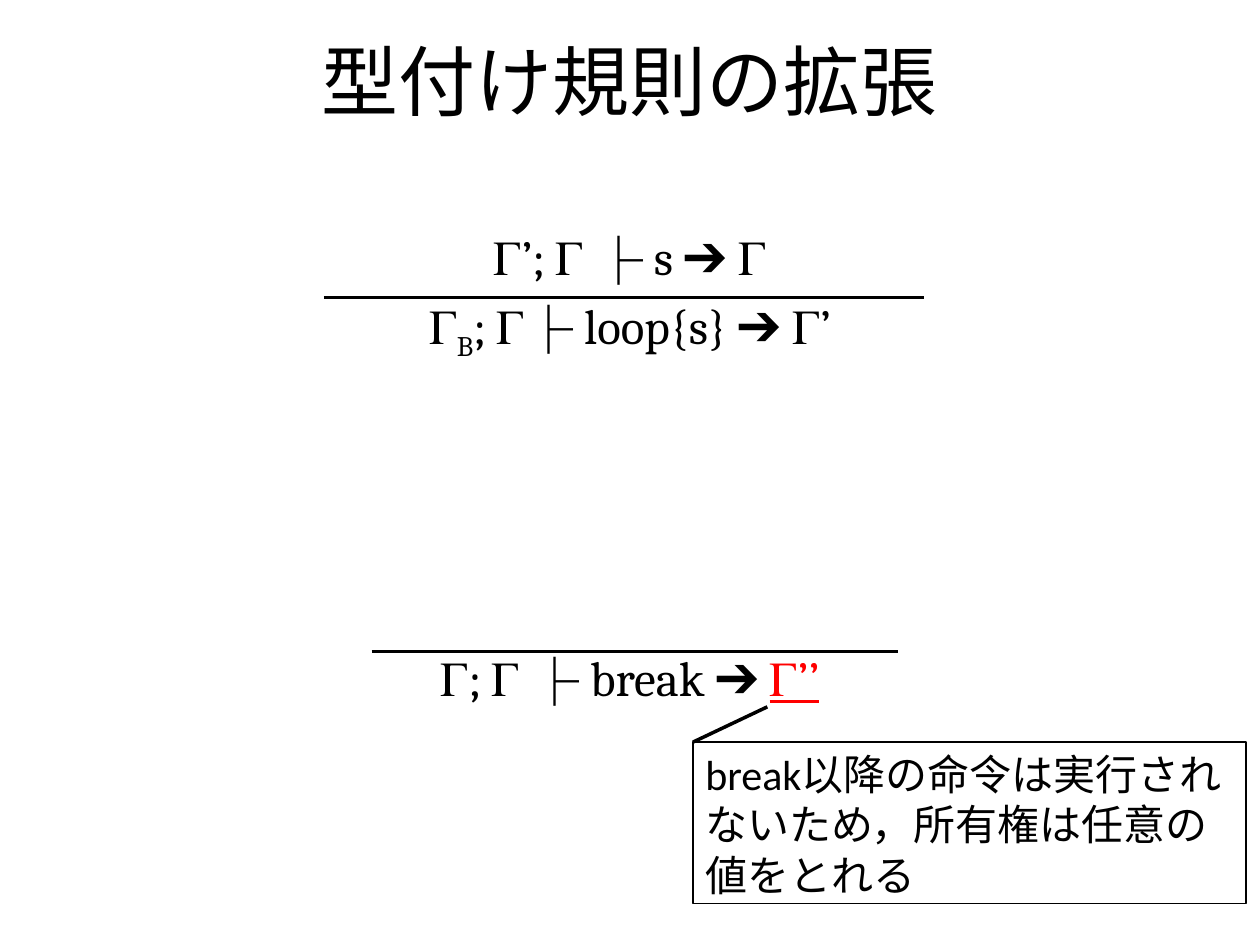
from lxml import etree
from pptx import Presentation
from pptx.dml.color import RGBColor
from pptx.enum import shapes, text
from pptx.oxml.ns import qn
from pptx.util import Inches, Pt

BLACK = "000000"
RED = "FF0000"


def color(value):
    return RGBColor.from_string(value)


def add_text(box, paragraphs, font_name, size, alignment, anchor=text.MSO_ANCHOR.TOP):
    left, top, width, height = box
    shape = slide.shapes.add_textbox(Inches(left), Inches(top), Inches(width), Inches(height))
    frame = shape.text_frame
    frame.word_wrap = True
    frame.vertical_anchor = anchor
    for index, runs in enumerate(paragraphs):
        paragraph = frame.add_paragraph() if index else frame.paragraphs[0]
        paragraph.alignment = alignment
        if index:
            paragraph.space_before = Pt(size * 0.2)
        for content, style in runs:
            run = paragraph.add_run()
            run.text = content
            run.font.name = font_name
            run.font.size = Pt(size)
            run.font.color.rgb = color(RED if style == "highlight" else BLACK)
            if style == "highlight":
                run.font.underline = True
            if style == "subscript":
                run.font._element.set("baseline", "-25000")


presentation = Presentation()
presentation.slide_width = Inches(10)
presentation.slide_height = Inches(7.5)
slide = presentation.slides.add_slide(presentation.slide_layouts[6])
slide.background.fill.solid()
slide.background.fill.fore_color.rgb = color("FFFFFF")

center = text.PP_ALIGN.CENTER
add_text((0.5, 0.01, 9, 1.25), [[("型付け規則の拡張", "plain")]],
         "Calibri", 44, center, text.MSO_ANCHOR.MIDDLE)

loop_rule = [
    [("Γ’; Γ ├ s ➔ Γ", "plain")],
    [("Γ", "plain"), ("B", "subscript"), ("; Γ├ loop{s} ➔ Γ’", "plain")],
]
break_rule = [[("Γ; Γ ├ break ➔ ", "plain"), ("Γ’’", "highlight")]]
for top, height, rule in [(1.75, 1.2, loop_rule), (5.09, 0.6, break_rule)]:
    add_text((0.5, top, 9, height), rule, "Cambria", 28, center)

note_frame = slide.shapes.add_shape(shapes.MSO_SHAPE.RECTANGLE, Inches(5.5), Inches(5.89),
                                    Inches(4.39), Inches(1.28))
note_frame.shadow.inherit = False
note_frame.fill.background()
note_frame.line.color.rgb = color(BLACK)
note_frame.line.width = Pt(1)
add_text((5.5, 5.89, 4.5, 1.31),
         [[("break以降の命令は実行されないため，所有権は任意の値をとれる", "plain")]],
         "Calibri", 24, text.PP_ALIGN.LEFT)

for start_x, start_y, end_x, end_y in [
    (2.57, 2.36, 7.33, 2.36),
    (2.95, 5.17, 7.13, 5.17),
    (6.09, 5.61, 5.5, 5.89),
]:
    line = slide.shapes.add_connector(shapes.MSO_CONNECTOR.STRAIGHT, Inches(start_x),
                                      Inches(start_y), Inches(end_x), Inches(end_y))
    line.line.color.rgb = color(BLACK)
    line.line.width = Pt(2)
    etree.SubElement(line._element.spPr, qn("a:effectLst"))

presentation.save("out.pptx")
